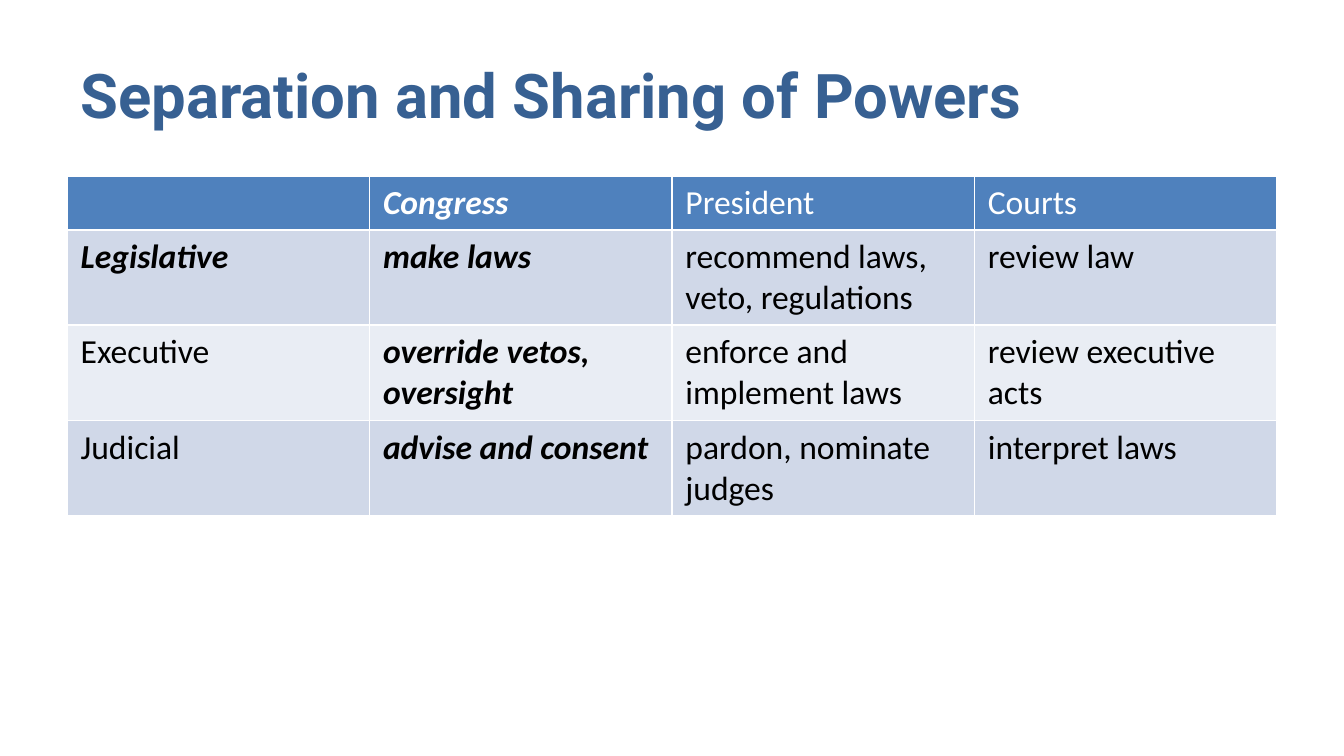
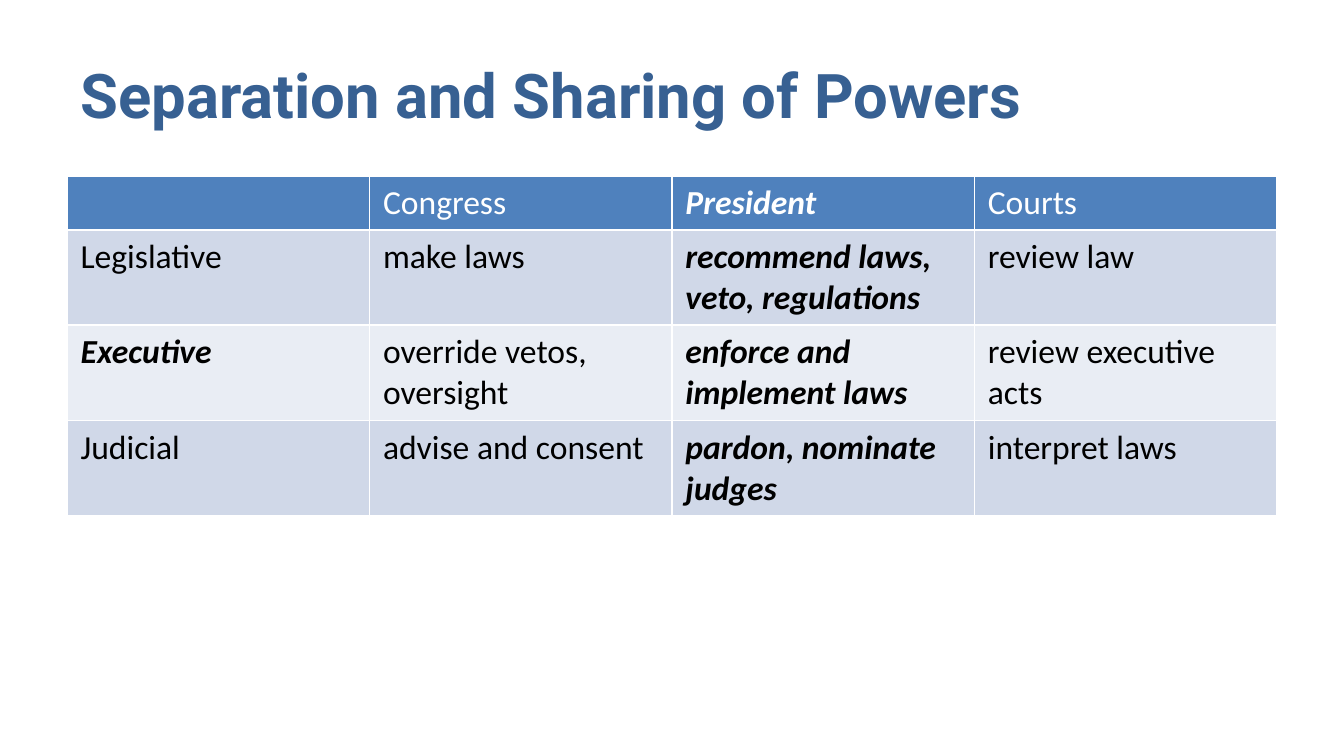
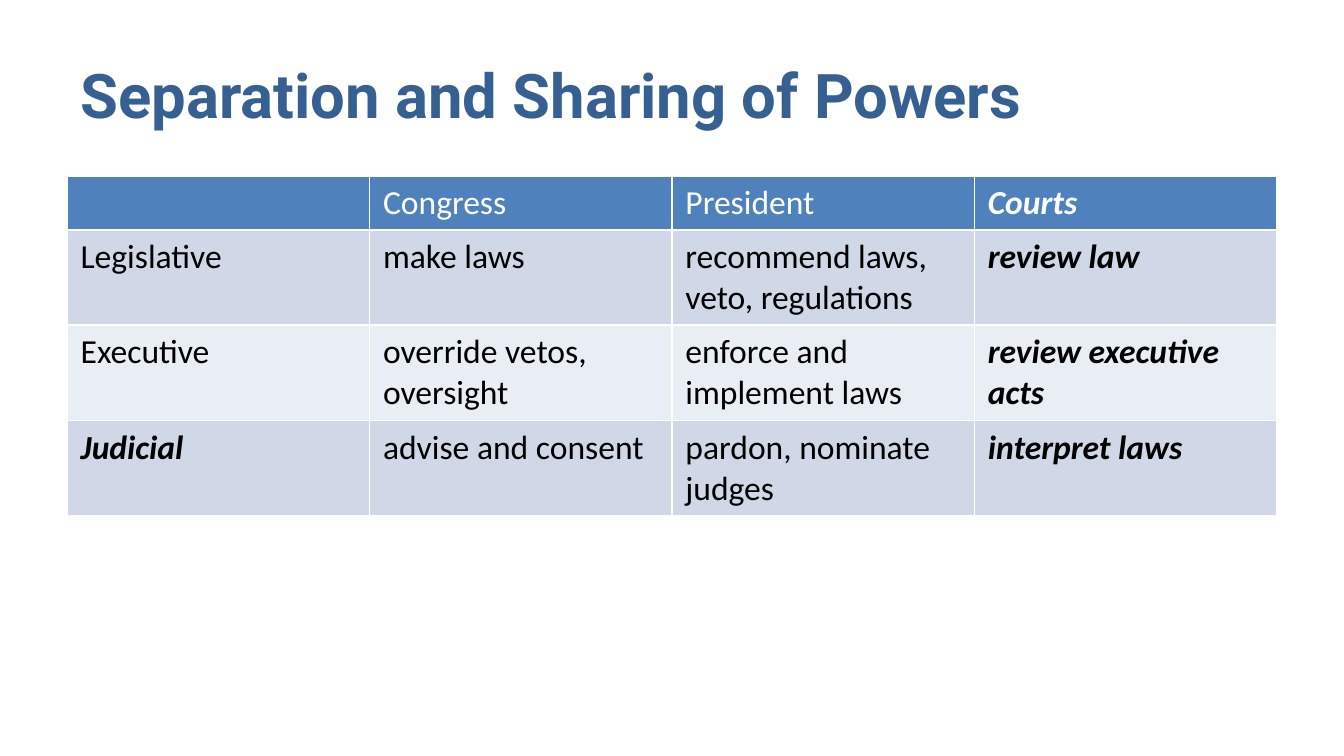
from dataclasses import dataclass

from lxml.etree import SubElement
from pptx import Presentation
from pptx.dml.color import RGBColor
from pptx.enum.text import MSO_ANCHOR as Anchor
from pptx.oxml.ns import qn
from pptx.slide import Slide
from pptx.table import _Cell as Cell
from pptx.text.text import _Paragraph as Paragraph
from pptx.util import Inches, Pt

# Shared look
TITLE_COLOR = "376092"
HEADER_FILL = "4F81BD"
BAND_FILLS = ("D0D8E8", "E9EDF4")
WHITE = "FFFFFF"
BLACK = "000000"
TITLE_FONT = "Roboto"
BODY_FONT = "Calibri"

# Layout in inches, on a 16:9 slide
SLIDE_WIDTH = 10
SLIDE_HEIGHT = SLIDE_WIDTH * 9 / 16
LEFT, WIDTH = 0.5, 9
TITLE_TOP, TITLE_HEIGHT = 0.23, 0.94
TABLE_TOP = 1.31
HEADER_HEIGHT, ROW_HEIGHT = 0.4, 0.71

TITLE = "Separation and Sharing of Powers"
POWERS = (
    ("", "Congress", "President", "Courts"),
    ("Legislative", "make laws", "recommend laws, veto, regulations", "review law"),
    ("Executive", "override vetos, oversight", "enforce and implement laws",
     "review executive acts"),
    ("Judicial", "advise and consent", "pardon, nominate judges", "interpret laws"),
)


@dataclass(frozen=True)
class TextStyle:
    font: str
    size: int
    color: str
    bold: bool = False
    italic: bool = False


def rgb(color: str) -> RGBColor:
    return RGBColor.from_string(color)


def write(paragraph: Paragraph, text: str, style: TextStyle) -> None:
    paragraph.text = text
    for run in paragraph.runs:
        run.font.name = style.font
        run.font.size = Pt(style.size)
        run.font.color.rgb = rgb(style.color)
        run.font.bold = style.bold
        run.font.italic = style.italic


def add_borders(cell: Cell) -> None:
    properties = cell._tc.get_or_add_tcPr()
    for side in ("a:lnL", "a:lnR", "a:lnT", "a:lnB"):
        line = SubElement(properties, qn(side), w=str(Pt(1)))
        fill = SubElement(line, qn("a:solidFill"))
        SubElement(fill, qn("a:srgbClr"), val=WHITE)


def add_title(slide: Slide) -> None:
    box = slide.shapes.add_textbox(
        Inches(LEFT), Inches(TITLE_TOP), Inches(WIDTH), Inches(TITLE_HEIGHT))
    frame = box.text_frame
    frame.word_wrap = True
    frame.vertical_anchor = Anchor.MIDDLE
    write(frame.paragraphs[0], TITLE, TextStyle(TITLE_FONT, 33, TITLE_COLOR, bold=True))


def add_powers_table(slide: Slide, branch: int) -> None:
    """Draw the table, stressing the branch's column and its row label."""
    row_count, column_count = len(POWERS), len(POWERS[0])
    height = HEADER_HEIGHT + (row_count - 1) * ROW_HEIGHT
    table = slide.shapes.add_table(
        row_count, column_count, Inches(LEFT), Inches(TABLE_TOP),
        Inches(WIDTH), Inches(height)).table

    for row, texts in enumerate(POWERS):
        is_header = row == 0
        table.rows[row].height = Inches(HEADER_HEIGHT if is_header else ROW_HEIGHT)
        fill_color = HEADER_FILL if is_header else BAND_FILLS[(row - 1) % 2]
        text_color = WHITE if is_header else BLACK
        for column, text in enumerate(texts):
            cell = table.cell(row, column)
            add_borders(cell)
            cell.fill.solid()
            cell.fill.fore_color.rgb = rgb(fill_color)
            stressed = column == branch or (column == 0 and row == branch)
            style = TextStyle(BODY_FONT, 18, text_color, stressed, stressed)
            write(cell.text_frame.paragraphs[0], text, style)


def main() -> None:
    presentation = Presentation()
    presentation.slide_width = Inches(SLIDE_WIDTH)
    presentation.slide_height = Inches(SLIDE_HEIGHT)
    blank_layout = presentation.slide_layouts[6]

    # One slide for each branch of government
    for branch in range(1, len(POWERS[0])):
        slide = presentation.slides.add_slide(blank_layout)
        add_title(slide)
        add_powers_table(slide, branch)

    presentation.save("out.pptx")


if __name__ == "__main__":
    main()
